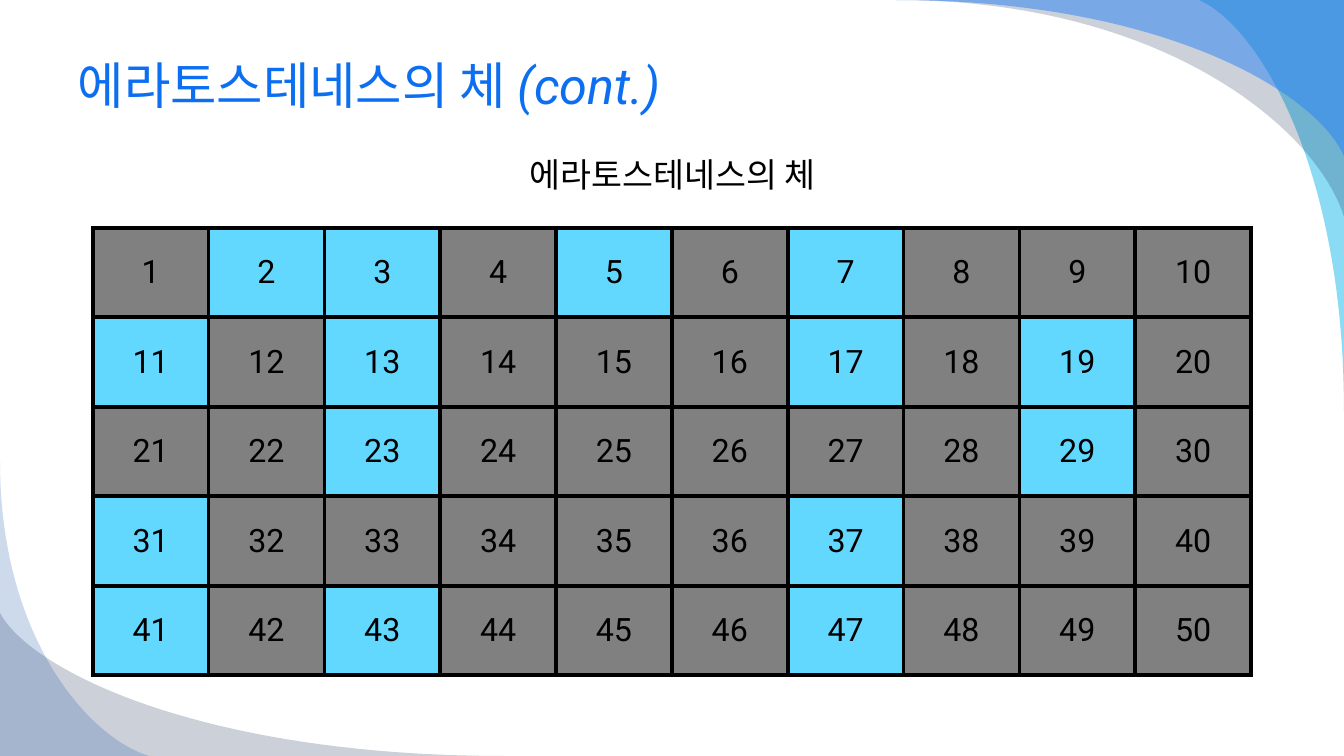
import pptx
import pptx.util
import pptx.dml.color
import pptx.enum.text
import pptx.oxml
import pptx.oxml.ns
import lxml.etree

Inches = pptx.util.Inches
Pt = pptx.util.Pt
RGB = pptx.dml.color.RGBColor
ALIGN = pptx.enum.text.PP_ALIGN
MIDDLE = pptx.enum.text.MSO_ANCHOR.MIDDLE

CYAN = RGB(0x00, 0xB1, 0xE9)
NAVY = RGB(0x02, 0x17, 0x41)
AZURE = RGB(0x24, 0x7F, 0xF4)
ROYAL = RGB(0x08, 0x4A, 0xA1)
BLUE = RGB(0x0C, 0x6F, 0xF2)
BLACK = RGB(0, 0, 0)
GRAY = RGB(0x80, 0x80, 0x80)
SKY = RGB(0x62, 0xD8, 0xFF)

FONT = "Roboto"
WIDE, HIGH = 13.33, 7.5
FLAT = ((0, 0), (0.6, 0), (0.94, 0.6), (1, 1))
STEEP = tuple((1 - v, 1 - u) for u, v in reversed(FLAT))
STEPS = 40


def tag(parent, name, **attrs):
    """Append a drawing element with the given attributes."""
    node = lxml.etree.SubElement(parent, pptx.oxml.ns.qn("a:" + name))
    for key, value in attrs.items():
        node.set(key, str(value))
    return node


def add_run(para, text, size, color, italic=None):
    """Add one formatted run to a paragraph."""
    run = para.add_run()
    run.text = text
    font = run.font
    font.name, font.size, font.italic = FONT, Pt(size), italic
    font.color.rgb = color


def curve(ctrl, t):
    """Return the point at t on a cubic curve."""
    weights = ((1 - t) ** 3, 3 * t * (1 - t) ** 2, 3 * t * t * (1 - t), t ** 3)
    return [sum(w * p[axis] for w, p in zip(weights, ctrl)) for axis in (0, 1)]


def add_swoosh(slide, box, ctrl, color, alpha, turned=False):
    """Fill the box corner cut off by a curve; turned rotates it half way round."""
    left, top, width, height = box
    points = [curve(ctrl, i / STEPS) for i in range(STEPS + 1)] + [(1, 0)]
    if turned:
        points = [(1 - u, 1 - v) for u, v in points]
    spots = [(Inches(left + u * width), Inches(top + v * height)) for u, v in points]
    pen = slide.shapes.build_freeform(*spots[0], scale=1.0)
    pen.add_line_segments(spots[1:], close=True)
    shape = pen.convert_to_shape()
    shape.shadow.inherit = False
    shape.line.fill.background()
    shape.fill.solid()
    shape.fill.fore_color.rgb = color
    tint = shape.fill._xPr.find(".//" + pptx.oxml.ns.qn("a:srgbClr"))
    tag(tint, "alpha", val=alpha * 1000)


def add_decor(slide, box):
    """Place the curved bands in the top right and bottom left corners."""
    left, top, width, height = box
    right, low = left + width, top + height
    for w, h, ctrl, color, alpha in (
            (1.44, 4.08, STEEP, CYAN, 45),
            (4.44, 2.15, FLAT, NAVY, 20),
            (4.44, 1.55, FLAT, AZURE, 49)):
        add_swoosh(slide, (right - w, top, w, h), ctrl, color, alpha)
    for w, h, ctrl, color in (
            (5, 1.42, FLAT, NAVY),
            (1.48, 2.92, STEEP, ROYAL)):
        add_swoosh(slide, (left, low - h, w, h), ctrl, color, 20, True)


def set_title(slide, box):
    """Move and fill the title placeholder."""
    title = slide.shapes.title
    title.left, title.top, title.width, title.height = map(Inches, box)
    frame = title.text_frame
    frame.vertical_anchor = MIDDLE
    para = frame.paragraphs[0]
    para.alignment = ALIGN.LEFT
    add_run(para, "에라토스테네스의 체 ", 36, BLUE)
    add_run(para, "(cont.)", 36, BLUE, True)


def add_head(slide, box):
    """Add the centred heading above the grid."""
    frame = slide.shapes.add_textbox(*map(Inches, box)).text_frame
    frame.word_wrap = True
    para = frame.paragraphs[0]
    para.alignment = ALIGN.CENTER
    add_run(para, "에라토스테네스의 체", 24, BLACK)


def is_prime(num):
    """Tell whether a number is prime."""
    return num > 1 and all(num % d for d in range(2, num))


def fill_cell(cell, num):
    """Write one number, coloured by whether it is prime."""
    cell.vertical_anchor = MIDDLE
    cell.margin_left = cell.margin_right = Inches(0.13)
    cell.margin_top = cell.margin_bottom = Inches(0.06)
    para = cell.text_frame.paragraphs[0]
    para.alignment = ALIGN.CENTER
    add_run(para, str(num), 23, BLACK)
    props = cell._tc.get_or_add_tcPr()
    for side in ("lnL", "lnR", "lnT", "lnB"):
        line = tag(props, side, w=Pt(3))
        tag(tag(line, "solidFill"), "srgbClr", val=BLACK)
    cell.fill.solid()
    cell.fill.fore_color.rgb = SKY if is_prime(num) else GRAY


def add_sieve(slide, box, rows=5, cols=10):
    """Add the number grid as a table filling the box."""
    left, top, width, height = map(Inches, box)
    table = slide.shapes.add_table(rows, cols, left, top, width, height).table
    table.first_row = table.horz_banding = False
    for col in table.columns:
        col.width = width // cols
    for row in table.rows:
        row.height = height // rows
    for num, cell in enumerate(table.iter_cells(), 1):
        fill_cell(cell, num)


def build():
    """Build the slide and save it."""
    deck = pptx.Presentation()
    deck.slide_width, deck.slide_height = Inches(WIDE), Inches(HIGH)
    slide = deck.slides.add_slide(deck.slide_layouts[5])
    add_decor(slide, (0, 0, WIDE, HIGH))
    set_title(slide, (0.67, 0.33, 12, 1.01))
    add_head(slide, (0.67, 1.48, 12, 5.22))
    add_sieve(slide, (0.92, 2.26, 11.49, 4.44))
    deck.save("out.pptx")


build()
